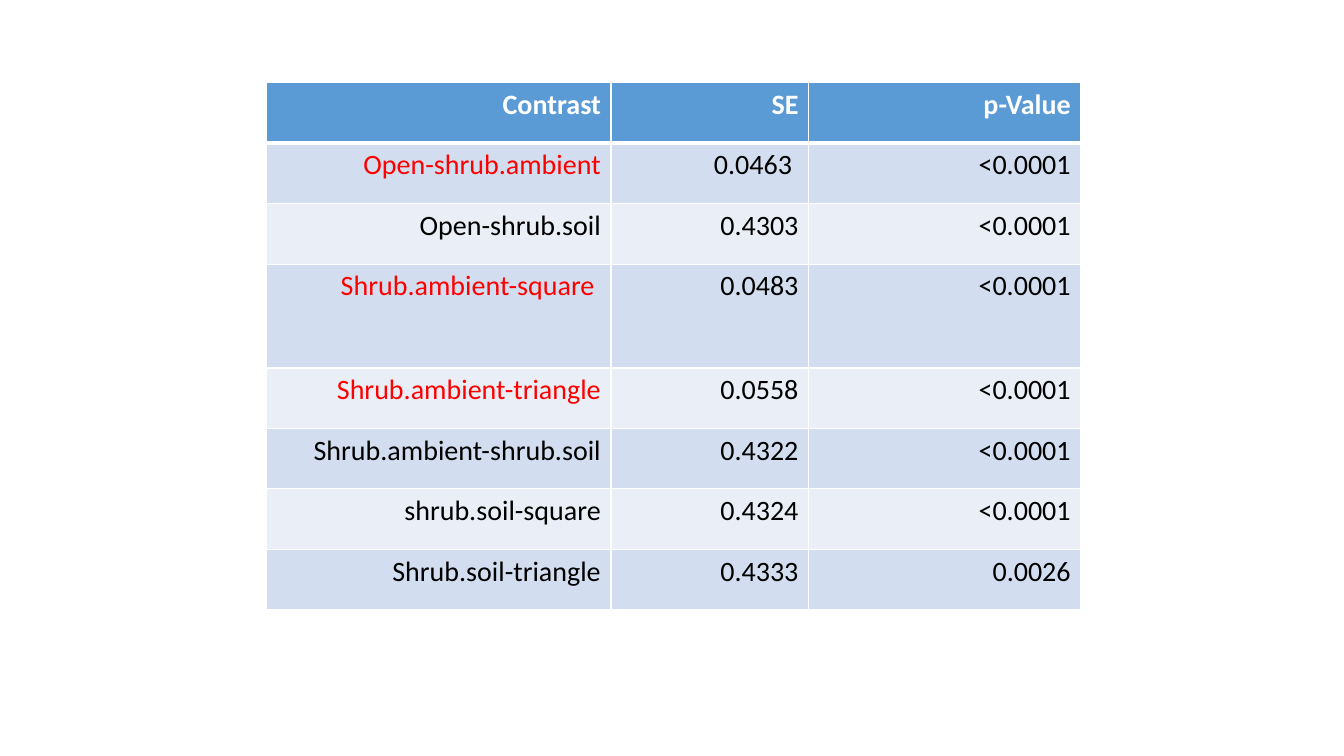
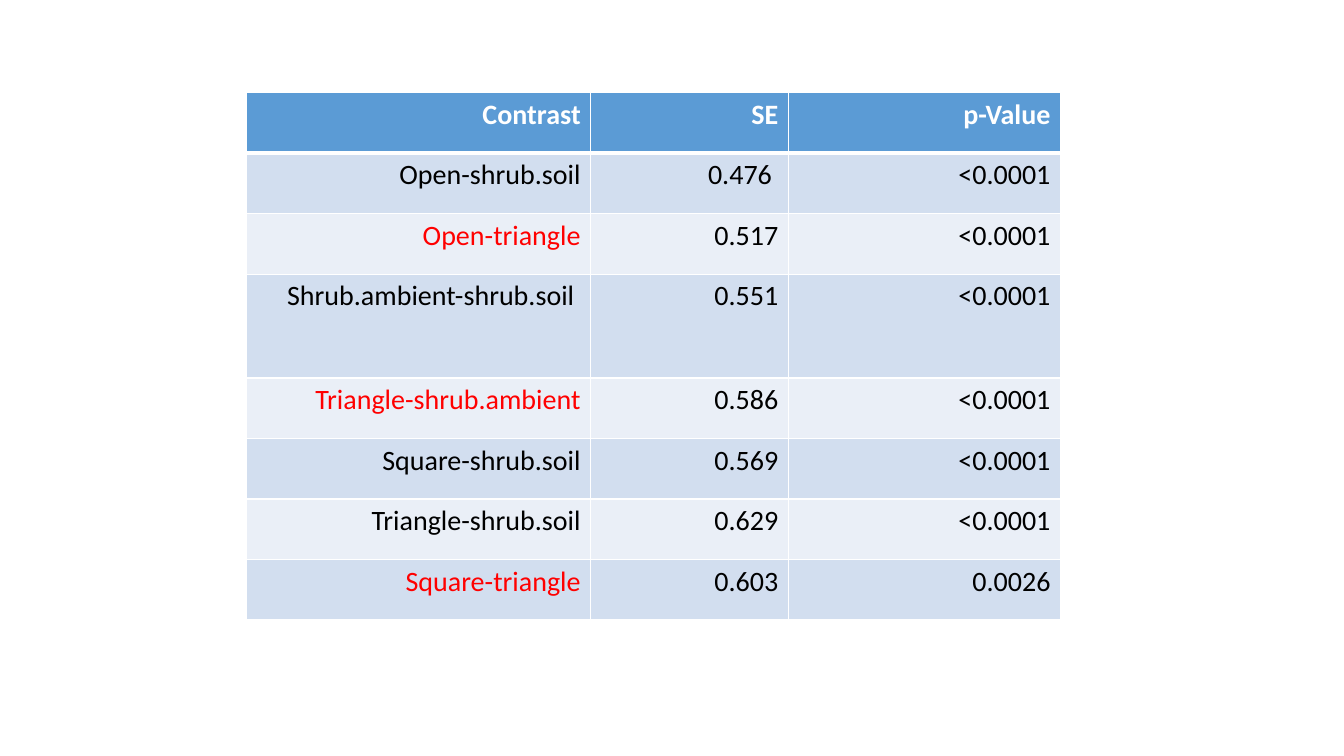
from dataclasses import dataclass

from lxml.etree import SubElement
from pptx import Presentation
from pptx.dml.color import RGBColor
from pptx.enum.text import PP_ALIGN
from pptx.oxml.ns import qn
from pptx.util import Inches, Pt


@dataclass(frozen=True)
class Theme:
    font: str = "Calibri"
    size: int = 20
    header: str = "5B9BD5"
    bands: tuple = ("D2DEEF", "EAEFF7")
    white: str = "FFFFFF"
    text: str = "000000"
    highlight: str = "FF0000"
    rule: int = 1
    header_rule: int = 3


theme = Theme()

# Table geometry and content
HEADINGS = ("Contrast", "SE", "p-Value")
COLUMN_WIDTHS = (3.42, 1.96, 2.7)
ROW_HEIGHTS = (0.6, 0.6, 0.6, 1.03, 0.6, 0.6, 0.6, 0.6)

# Each table: left, top, highlighted contrasts, rows
TABLES = [
    (2.64, 0.82,
     {"Open-shrub.ambient", "Shrub.ambient-square ", "Shrub.ambient-triangle"},
     [("Open-shrub.ambient", "0.0463 ", "<0.0001"),
      ("Open-shrub.soil", "0.4303", "<0.0001"),
      ("Shrub.ambient-square ", "0.0483", "<0.0001"),
      ("Shrub.ambient-triangle", "0.0558", "<0.0001"),
      ("Shrub.ambient-shrub.soil", "0.4322", "<0.0001"),
      ("shrub.soil-square", "0.4324", "<0.0001"),
      ("Shrub.soil-triangle", "0.4333", "0.0026")]),
    (2.44, 0.92,
     {"Open-triangle", "Triangle-shrub.ambient", "Square-triangle"},
     [("Open-shrub.soil", "0.476 ", "<0.0001"),
      ("Open-triangle", "0.517", "<0.0001"),
      ("Shrub.ambient-shrub.soil ", "0.551", "<0.0001"),
      ("Triangle-shrub.ambient", "0.586", "<0.0001"),
      ("Square-shrub.soil", "0.569", "<0.0001"),
      ("Triangle-shrub.soil", "0.629", "<0.0001"),
      ("Square-triangle", "0.603", "0.0026")]),
]


def set_borders(cell, widths):
    """Draw the cell's borders; call before setting its fill."""
    properties = cell._tc.get_or_add_tcPr()
    for side in ("L", "R", "T", "B"):
        width = Pt(widths.get(side, theme.rule))
        line = SubElement(properties, qn(f"a:ln{side}"), w=str(int(width)))
        fill = SubElement(line, qn("a:solidFill"))
        SubElement(fill, qn("a:srgbClr"), val=theme.white)


def write_cell(cell, text, fill, color, bold):
    cell.fill.solid()
    cell.fill.fore_color.rgb = RGBColor.from_string(fill)
    paragraph = cell.text_frame.paragraphs[0]
    paragraph.alignment = PP_ALIGN.RIGHT
    run = paragraph.add_run()
    run.text = text
    font_format = {"name": theme.font, "size": Pt(theme.size), "bold": bold}
    for name, value in font_format.items():
        setattr(run.font, name, value)
    run.font.color.rgb = RGBColor.from_string(color)


presentation = Presentation()
presentation.slide_width = Inches(13.33)
presentation.slide_height = Inches(7.5)
blank_layout = presentation.slide_layouts[6]

for left, top, highlighted, rows in TABLES:
    slide = presentation.slides.add_slide(blank_layout)

    # Table grid
    table = slide.shapes.add_table(
        len(ROW_HEIGHTS), len(COLUMN_WIDTHS), Inches(left), Inches(top),
        Inches(sum(COLUMN_WIDTHS)), Inches(sum(ROW_HEIGHTS))).table
    for column, width in zip(table.columns, COLUMN_WIDTHS):
        column.width = Inches(width)
    for row, height in zip(table.rows, ROW_HEIGHTS):
        row.height = Inches(height)

    # Header row, then banded body rows
    for row_index, values in enumerate([HEADINGS, *rows]):
        is_header = row_index == 0
        fill = theme.header if is_header else theme.bands[(row_index - 1) % 2]
        # The thick rule is shared by the header and the first body row
        thick_side = {0: "B", 1: "T"}.get(row_index)
        widths = {thick_side: theme.header_rule}
        for column_index, text in enumerate(values):
            if is_header:
                color = theme.white
            else:
                color = theme.highlight if text in highlighted else theme.text
            cell = table.cell(row_index, column_index)
            set_borders(cell, widths)
            write_cell(cell, text, fill, color, is_header)

presentation.save("out.pptx")
